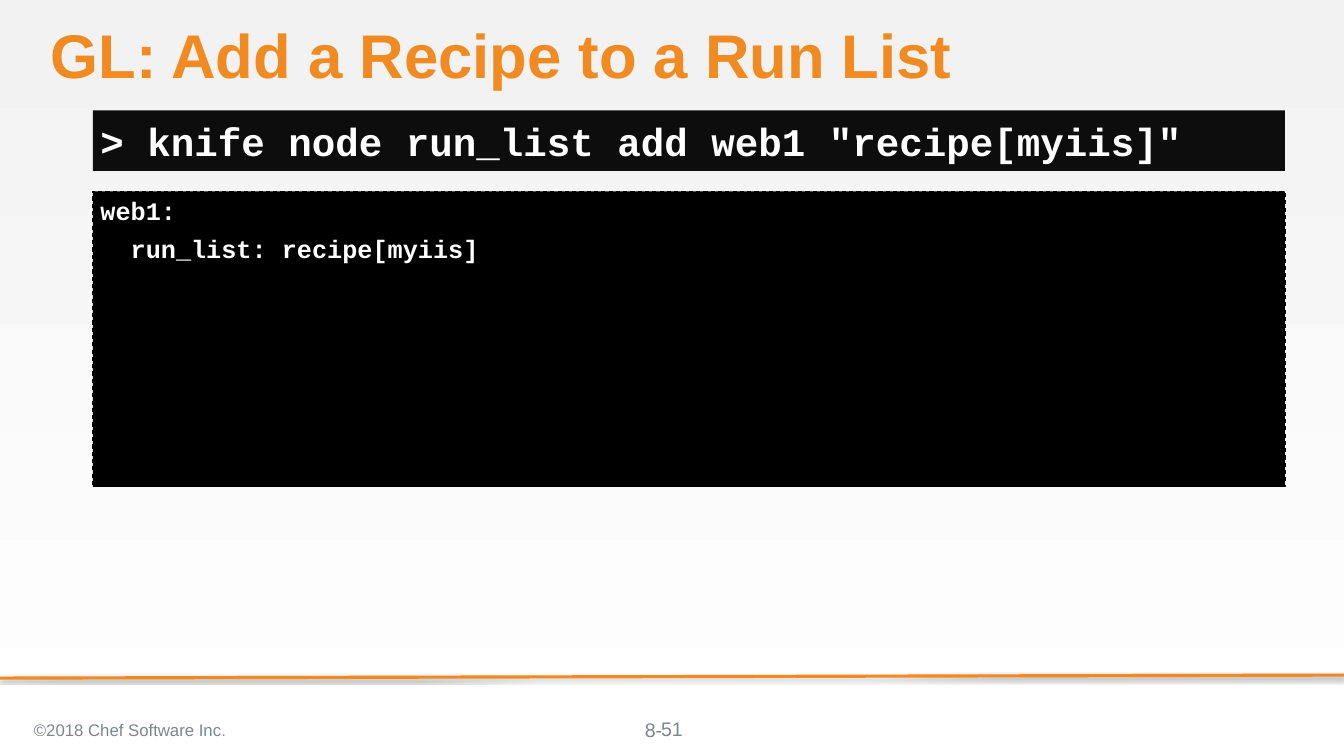
from dataclasses import dataclass

from lxml import etree
from pptx import Presentation
from pptx.dml.color import RGBColor
from pptx.enum import dml, shapes, text
from pptx.oxml.ns import qn
from pptx.util import Inches, Pt


@dataclass(frozen=True)
class Theme:
    orange: str = "F18B21"
    grey: str = "7D868C"
    dot_grey: str = "929494"
    white: str = "FFFFFF"
    black: str = "000000"
    command_fill: str = "0D0D0D"
    page_top: str = "F2F2F2"
    sans: str = "Arial"
    mono: str = "Courier New"
    title_size: float = 58.7
    command_size: float = 37.3
    output_size: float = 24
    page_size: float = 18.7
    small_size: float = 16


theme = Theme()


def write(box, lines, size, font, color, margins=(0.1, 0.05, 0.1, 0.05),
          anchor=text.MSO_ANCHOR.TOP, bold=False, **paragraph_format):
    """Fill a box with lines of text in one format."""
    frame = box.text_frame
    left, top, right, bottom = (Inches(m) for m in margins)
    frame_format = dict(word_wrap=True, vertical_anchor=anchor, margin_left=left,
                        margin_top=top, margin_right=right, margin_bottom=bottom)
    for key, value in frame_format.items():
        setattr(frame, key, value)
    paragraph_format = {"alignment": text.PP_ALIGN.LEFT, **paragraph_format}
    for index, line in enumerate(lines):
        paragraph = frame.paragraphs[0] if index == 0 else frame.add_paragraph()
        for key, value in paragraph_format.items():
            if index or key != "space_before":
                setattr(paragraph, key, value)
        run = paragraph.add_run()
        run.text = line
        for key, value in dict(size=Pt(size), name=font, bold=bold).items():
            setattr(run.font, key, value)
        run.font.color.rgb = RGBColor.from_string(color)
    return frame


def add_panel(top, height, fill):
    """Add a terminal panel in the shared content column."""
    panel = slide.shapes.add_shape(shapes.MSO_SHAPE.RECTANGLE, Inches(1.23),
                                   Inches(top), Inches(15.77), Inches(height))
    panel.shadow.inherit = False
    panel.fill.solid()
    panel.fill.fore_color.rgb = RGBColor.from_string(fill)
    panel.line.fill.background()
    return panel


prs = Presentation()
prs.slide_width, prs.slide_height = Inches(17.78), Inches(10)
slide = prs.slides.add_slide(prs.slide_layouts[6])

# Background gradient
background = slide.background.fill
background.gradient()
background.gradient_angle = 270
for stop, color, position in zip(background.gradient_stops,
                                 (theme.page_top, theme.white), (0, 1)):
    stop.color.rgb = RGBColor.from_string(color)
    stop.position = position

# Footer rule with a soft shadow
footer_rule = slide.shapes.add_connector(shapes.MSO_CONNECTOR.STRAIGHT, Inches(17.78),
                                         Inches(8.93), Inches(0), Inches(8.97))
footer_rule.line.color.rgb = RGBColor.from_string(theme.orange)
footer_rule.line.width = Pt(3)
effects = etree.SubElement(footer_rule.element.spPr, qn("a:effectLst"))
shadow = etree.SubElement(effects, qn("a:outerShdw"), blurRad=str(Pt(3.1)),
                          dist=str(Pt(1.8)), dir="5400000", rotWithShape="0")
shadow_color = etree.SubElement(shadow, qn("a:srgbClr"), val=theme.black)
etree.SubElement(shadow_color, qn("a:alpha"), val="35000")

# Command output
output = add_panel(2.53, 3.91, theme.black)
output.line.color.rgb = RGBColor.from_string(theme.black)
output.line.width = Pt(1)
output.line.dash_style = dml.MSO_LINE.DASH
write(output, ["web1:", "  run_list: recipe[myiis]"], theme.output_size, theme.mono,
      theme.white, bold=True, space_before=Pt(8))

# Title
title = slide.shapes.add_textbox(Inches(0.67), Inches(0.33), Inches(16.33), Inches(0.91))
write(title, ["GL: Add a Recipe to a Run List"], theme.title_size, theme.sans,
      theme.orange, margins=(0, 0, 0, 0), bold=True, line_spacing=0.9)

# Command
command = add_panel(1.46, 0.8, theme.command_fill)
write(command, ['> knife node run_list add web1 "recipe[myiis]"'], theme.command_size,
      theme.mono, theme.white, margins=(0.1, 0, 0, 0),
      anchor=text.MSO_ANCHOR.MIDDLE, bold=True)

# Footer: copyright, chapter prefix and page number
copyright_line = slide.shapes.add_textbox(Inches(0.35), Inches(9.38), Inches(6.21), Inches(0.56))
copyright_frame = write(copyright_line, ["©2018 Chef Software Inc"], theme.small_size,
                        theme.sans, theme.grey, anchor=text.MSO_ANCHOR.MIDDLE)
full_stop = copyright_frame.paragraphs[0].add_run()
full_stop.text = "."
full_stop.font.size, full_stop.font.name = Pt(theme.small_size), theme.sans
full_stop.font.color.rgb = RGBColor.from_string(theme.dot_grey)

chapter = slide.shapes.add_textbox(Inches(8.49), Inches(9.49), Inches(0.8), Inches(0.31))
write(chapter, ["8-"], theme.page_size, theme.sans, theme.grey, margins=(0.04, 0, 0, 0))

page = slide.shapes.add_textbox(Inches(6.89), Inches(9.38), Inches(4), Inches(0.53))
write(page, ["51"], theme.page_size, theme.sans, theme.grey,
      anchor=text.MSO_ANCHOR.MIDDLE, alignment=text.PP_ALIGN.CENTER)

prs.save("out.pptx")
